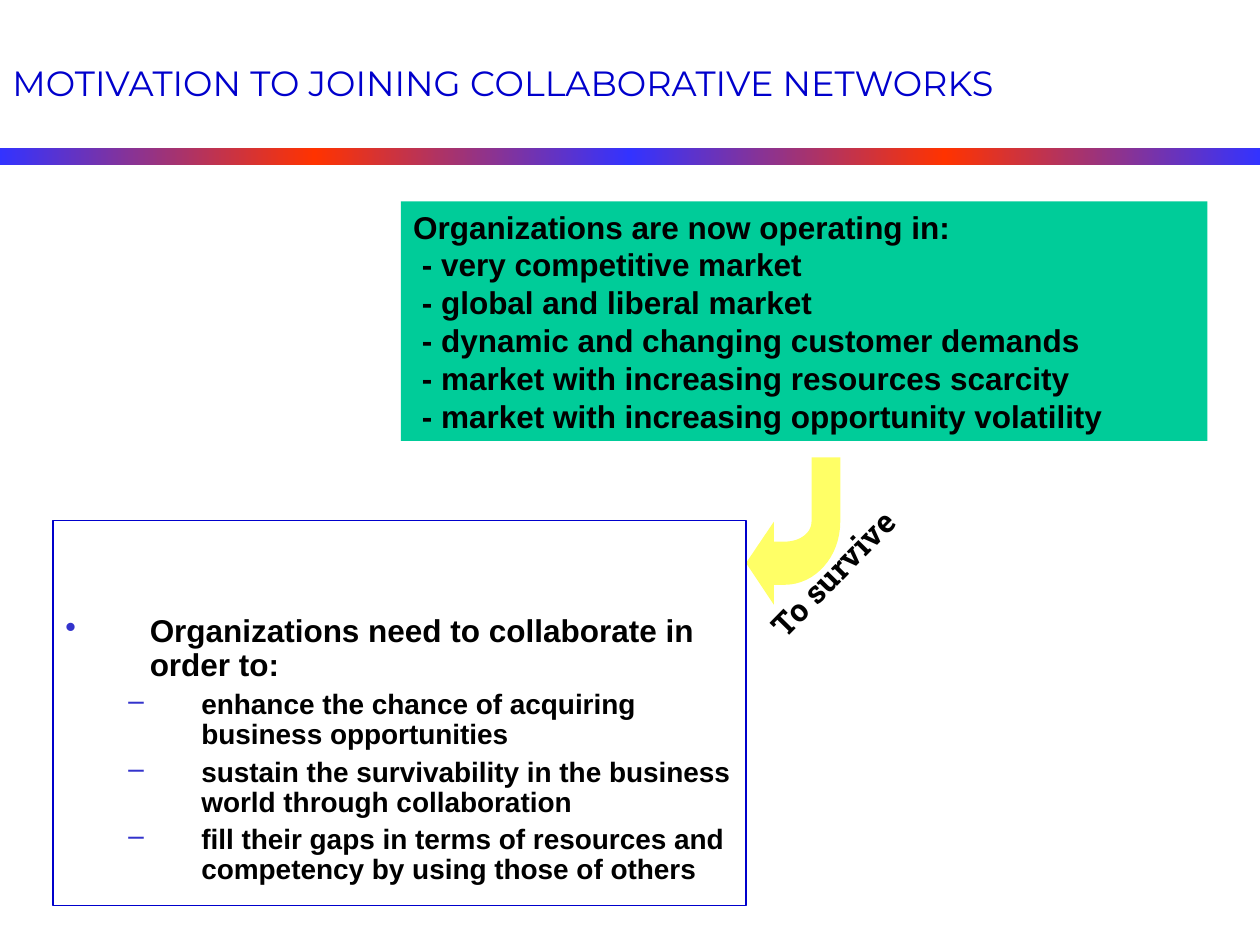
from copy import deepcopy

from lxml import etree
from pptx import Presentation
from pptx.dml.color import RGBColor
from pptx.enum.shapes import MSO_SHAPE
from pptx.enum.text import MSO_ANCHOR, PP_ALIGN
from pptx.oxml.ns import qn
from pptx.util import Cm, Pt

RECT = MSO_SHAPE.RECTANGLE
TOP, MIDDLE = MSO_ANCHOR.TOP, MSO_ANCHOR.MIDDLE
LEFT, CENTER = PP_ALIGN.LEFT, PP_ALIGN.CENTER

BLACK = RGBColor(0x00, 0x00, 0x00)
WHITE = RGBColor(0xFF, 0xFF, 0xFF)
NAVY = RGBColor(0x00, 0x00, 0xCC)
BLUE = RGBColor(0x33, 0x33, 0xFF)
RED = RGBColor(0xFF, 0x33, 0x00)
GREEN = RGBColor(0x00, 0xCC, 0x99)
YELLOW = RGBColor(0xFF, 0xFF, 0x66)
BULLET = RGBColor(0x33, 0x33, 0xCC)

MARKET = [
    "Organizations are now operating in:",
    " - very competitive market",
    " - global and liberal market",
    " - dynamic and changing customer demands",
    " - market with increasing resources scarcity",
    " - market with increasing opportunity volatility",
]
NEED = "Organizations need to collaborate in order to:"
GOALS = [
    "enhance the chance of acquiring business opportunities",
    "sustain the survivability in the business world through collaboration",
    "fill their gaps in terms of resources and competency by using those of others",
]


def add_box(slide, x, y, w, h, fill, line=None):
    """Add a plain rectangle."""
    box = slide.shapes.add_shape(RECT, Cm(x), Cm(y), Cm(w), Cm(h))
    box.shadow.inherit = False
    box.fill.solid()
    box.fill.fore_color.rgb = fill
    if line is None:
        box.line.fill.background()
    else:
        box.line.color.rgb = line
        box.line.width = Pt(0.75)
    return box


def add_bar(slide, x, y, w, h):
    """Add a bar that fades from blue to red and back."""
    bar = add_box(slide, x, y, w, h, BLUE)
    bar.fill.gradient()
    bar.fill.gradient_angle = 0
    stops = bar.fill._fill._gradFill.gsLst
    stops.insert(1, deepcopy(stops[0]))
    for stop, color, place in zip(bar.fill.gradient_stops, (BLUE, RED, BLUE), (0, 0.5, 1)):
        stop.color.rgb = color
        stop.position = place


def set_frame(frame, anchor, wrap=True):
    """Set the anchor and wrapping of a text frame."""
    frame.word_wrap = wrap
    frame.vertical_anchor = anchor


def add_bullet(para, mark, left, hang):
    """Give a paragraph a coloured bullet and a hanging indent."""
    props = para._p.get_or_add_pPr()
    props.set("marL", str(Cm(left)))
    props.set("indent", str(-Cm(hang)))
    color = etree.SubElement(props, qn("a:buClr"))
    etree.SubElement(color, qn("a:srgbClr")).set("val", str(BULLET))
    etree.SubElement(props, qn("a:buChar")).set("char", mark)


def add_text(para, text, size, font="Arial", color=BLACK, bold=True, align=LEFT):
    """Add one run to a paragraph."""
    para.alignment = align
    run = para.add_run()
    run.text = text
    run.font.size = Pt(size)
    run.font.name = font
    run.font.bold = bold
    run.font.color.rgb = color


def next_para(frame, first):
    """Return the first paragraph or a new one."""
    return frame.paragraphs[0] if first else frame.add_paragraph()


def add_label(slide, x, y, w, h, text, size, wrap=True, turn=0, **style):
    """Add a text box with one line."""
    box = slide.shapes.add_textbox(Cm(x), Cm(y), Cm(w), Cm(h))
    box.rotation = turn
    set_frame(box.text_frame, MIDDLE if wrap else TOP, wrap)
    add_text(box.text_frame.paragraphs[0], text, size, **style)


def add_market(slide):
    """Add the green box about the market."""
    frame = add_box(slide, 8.08, 4.06, 16.26, 4.83, GREEN).text_frame
    set_frame(frame, TOP)
    for i, text in enumerate(MARKET):
        add_text(next_para(frame, i == 0), text, 18)


def add_needs(slide):
    """Add the framed list of reasons to collaborate."""
    frame = add_box(slide, 1.07, 10.49, 13.97, 7.77, WHITE, NAVY).text_frame
    set_frame(frame, TOP)
    frame.margin_top = Cm(1.92)
    rows = [(NEED, 18, "•", 1.7, 1.7)] + [(goal, 16, "–", 2.74, 1.47) for goal in GOALS]
    for i, (text, size, mark, left, hang) in enumerate(rows):
        para = next_para(frame, i == 0)
        para.line_spacing = 0.9
        if i:
            para.space_before = Pt(4)
        add_bullet(para, mark, left, hang)
        add_text(para, text, size)


def bend(a, b, c, d, steps=16):
    """Return points along a cubic curve."""
    ts = [i / steps for i in range(steps + 1)]
    return [
        tuple(
            (1 - t) ** 3 * p + 3 * (1 - t) ** 2 * t * q + 3 * (1 - t) * t**2 * r + t**3 * s
            for p, q, r, s in zip(a, b, c, d)
        )
        for t in ts
    ]


def add_arrow(slide):
    """Add the bent arrow from the market to the needs."""
    outer = bend((15.82, 11.79), (16.43, 11.79), (16.94, 11.23), (16.94, 10.52))
    inner = bend((16.36, 10.52), (16.36, 10.74), (16.13, 10.92), (15.82, 10.92))
    head = [(15.6, 10.92), (15.6, 10.52), (15.04, 11.35), (15.6, 12.19), (15.6, 11.79)]
    points = head + outer + [(16.94, 9.22), (16.36, 9.22)] + inner
    spots = [(Cm(x), Cm(y)) for x, y in points]
    build = slide.shapes.build_freeform(*spots[0])
    build.add_line_segments(spots[1:], close=True)
    arrow = build.convert_to_shape()
    arrow.shadow.inherit = False
    arrow.fill.solid()
    arrow.fill.fore_color.rgb = YELLOW
    arrow.line.fill.background()


def main():
    """Build the slide and save it."""
    deck = Presentation()
    deck.slide_width, deck.slide_height = Cm(25.4), Cm(19.05)
    slide = deck.slides.add_slide(deck.slide_layouts[6])
    for x in (0, 12.7):
        add_bar(slide, x, 2.98, 12.7, 0.34)
    add_arrow(slide)
    add_market(slide)
    add_label(slide, 0, 0.71, 25.4, 1.91, "MOTIVATION TO JOINING COLLABORATIVE NETWORKS", 20,
              font="Montserrat", color=NAVY, bold=False)
    add_needs(slide)
    add_label(slide, 14.81, 11.05, 3.96, 1.02, "To survive", 18, wrap=False, turn=314.5,
              font="Roboto Slab", align=CENTER)
    deck.save("out.pptx")


if __name__ == "__main__":
    main()
